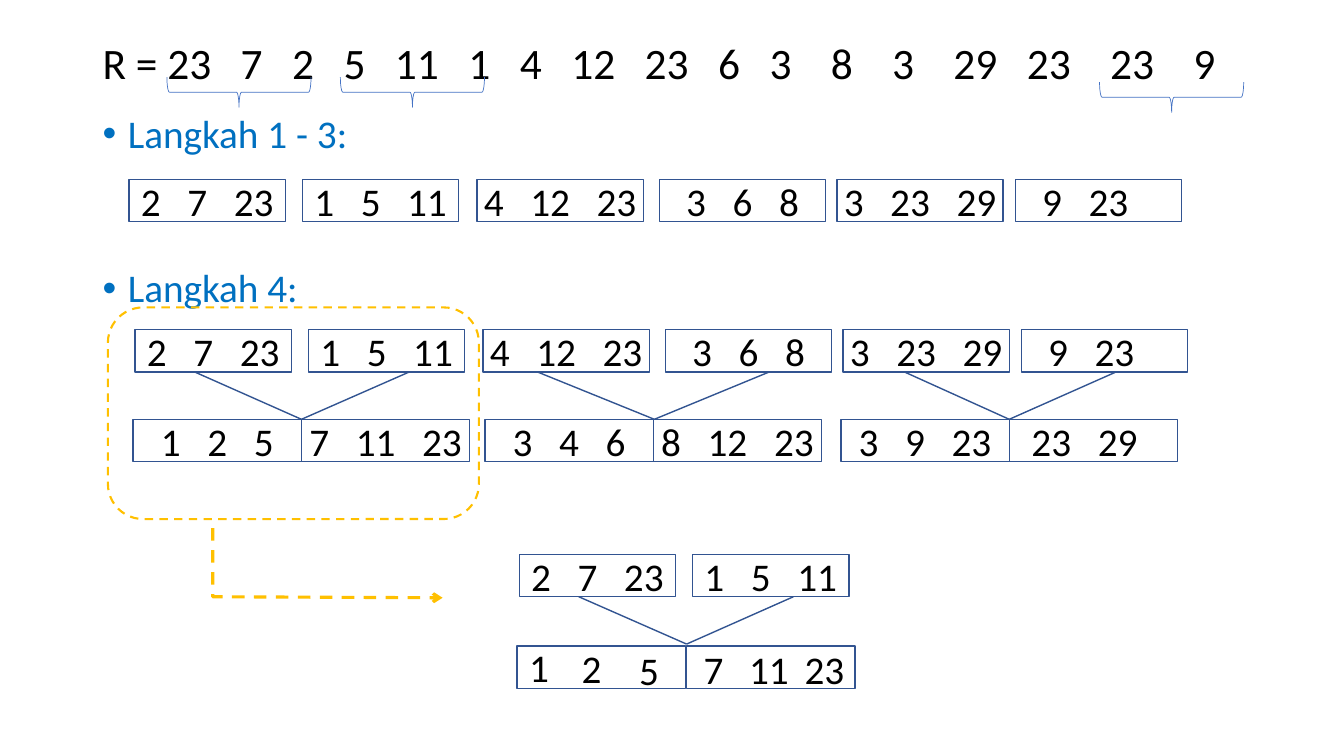
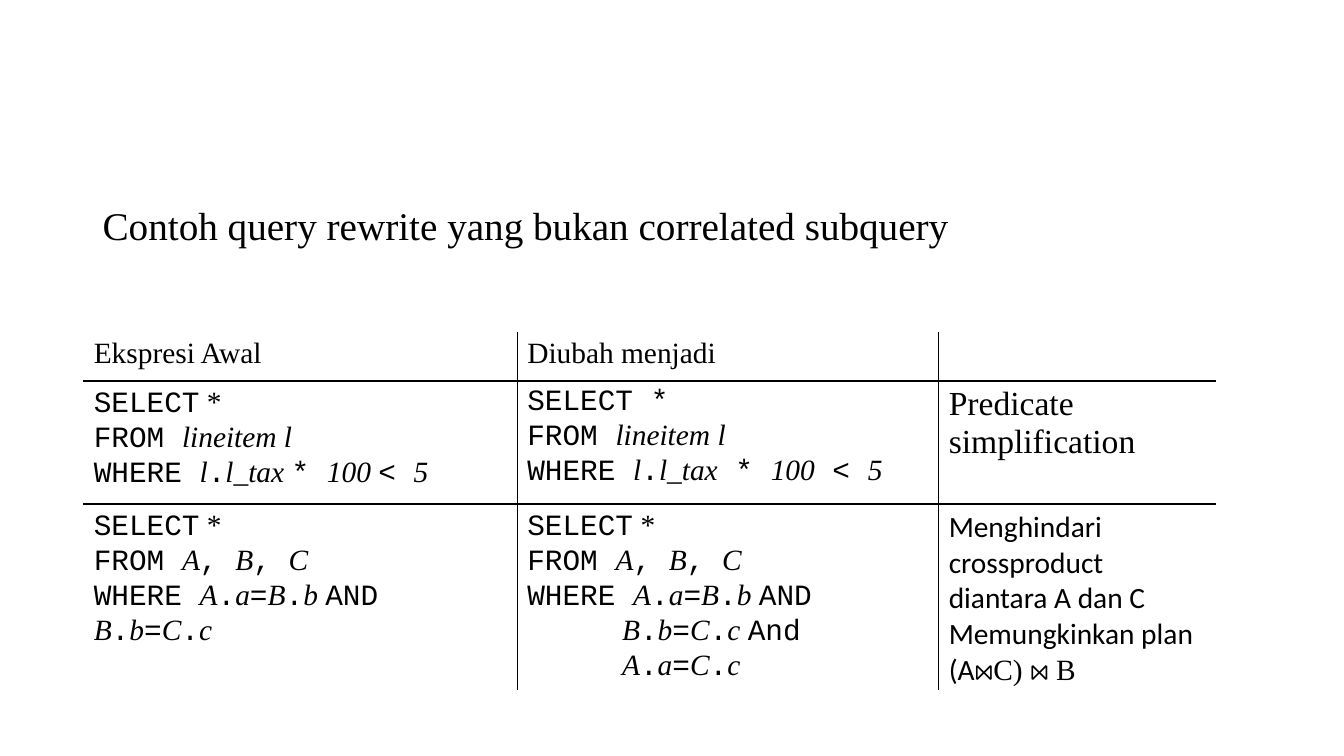
from lxml import etree
from pptx import Presentation
from pptx.dml.color import RGBColor
from pptx.enum import dml, shapes, text
from pptx.oxml import ns
from pptx.util import Inches, Pt

BLACK, WHITE, NAVY = "000000", "FFFFFF", "325491"
SKY, GOLD, BRACE_BLUE = "0070C0", "FFC000", "4472C4"
SANS, SERIF, MONO = "Calibri", "Times New Roman", "Courier New"
DIGIT_EM, SPACE_EM = 0.507, 0.226
NUMBER_SIZE = 28
BOX_HEIGHT = 0.42
SORTED_RUNS = [
    (1.28, 1.55, "2 7 23", 0),
    (3, 1.55, "1 5 11", 0),
    (4.73, 1.65, "4 12 23", 0),
    (6.54, 1.65, "3 6 8", 0),
    (8.3, 1.65, "3 23 29", 0),
    (10.07, 1.65, "9 23", 3),
]
MERGED_PAIRS = [
    (1.32, ("1 2 5", 0), ("7 11 23", 0)),
    (4.81, ("3 4 6", 0), ("8 12 23", 0)),
    (8.34, ("3 9 23", 0), ("23 29", 2)),
]
MERGED_WIDTH = 1.67


def color(value):
    return RGBColor.from_string(value)


def add_xml(parent, tag, **attributes):
    return etree.SubElement(parent, ns.qn(tag), attributes)


def add_span(para, content, size, font=SANS, hue=BLACK, italic=False):
    span = para.add_run()
    span.text = content
    span.font.size = Pt(size)
    span.font.name = font
    span.font.italic = italic
    span.font.color.rgb = color(hue)


def space_para(para, before):
    para.line_spacing = 0.9
    para.space_before = Pt(before)


def set_indent(para, hang):
    properties = para._p.get_or_add_pPr()
    properties.set("marL", str(Inches(hang)))
    properties.set("indent", str(-Inches(hang)))
    return properties


def add_bullet(para, content):
    space_para(para, 18)
    properties = set_indent(para, 0.25)
    add_xml(properties, "a:buFont", typeface="Arial")
    add_xml(properties, "a:buChar", char="•")
    add_span(para, content, 28, hue=SKY)


def add_numbers(para, numbers, size, gaps, lead=0.0):
    digit, space = DIGIT_EM * size / 72, SPACE_EM * size / 72
    stops = add_xml(para._p.get_or_add_pPr(), "a:tabLst")
    position = lead
    for number, gap in zip(numbers, gaps):
        position += len(number) * digit + gap * space
        add_xml(stops, "a:tab", pos=str(Inches(position)), algn="l")
    add_span(para, ("R = " if lead else "") + "\t".join(numbers), size)


def set_margins(frame, side, top):
    frame.margin_left = frame.margin_right = Inches(side)
    frame.margin_top = frame.margin_bottom = Inches(top)


def add_textbox(page, left, top, width, height, inset=0.1):
    box = page.shapes.add_textbox(Inches(left), Inches(top), Inches(width), Inches(height))
    frame = box.text_frame
    frame.word_wrap = True
    set_margins(frame, inset, min(inset, 0.05))
    return frame


def style_outline(item, hue, width, dashed=False):
    item.line.color.rgb = color(hue)
    item.line.width = Pt(width)
    if dashed:
        item.line.dash_style = dml.MSO_LINE.DASH


def add_outline(page, kind, left, top, width, height, hue=NAVY, weight=1, dashed=False):
    box = page.shapes.add_shape(kind, Inches(left), Inches(top), Inches(width), Inches(height))
    box.shadow.inherit = False
    box.fill.background()
    style_outline(box, hue, weight, dashed)
    return box


def add_number_box(page, left, top, width, content="", trailing=0):
    box = add_outline(page, shapes.MSO_SHAPE.RECTANGLE, left, top, width, BOX_HEIGHT)
    if not content:
        return
    numbers = content.split()
    digits = sum(len(number) for number in numbers)
    spaces = 3 * (len(numbers) - 1) + trailing
    used = (digits * DIGIT_EM + spaces * SPACE_EM) * NUMBER_SIZE / 72
    frame = box.text_frame
    frame.word_wrap = True
    frame.vertical_anchor = text.MSO_ANCHOR.MIDDLE
    set_margins(frame, 0.02, 0.02)
    frame.margin_left = Inches((width - used) / 2)
    para = frame.paragraphs[0]
    para.alignment = text.PP_ALIGN.LEFT
    add_numbers(para, numbers, NUMBER_SIZE, [3] * (len(numbers) - 1))


def add_sorted_runs(page, runs, shift, top):
    for left, width, content, trailing in runs:
        add_number_box(page, left + shift, top, width, content, trailing)


def add_line(page, start, end):
    line = page.shapes.add_connector(
        shapes.MSO_CONNECTOR.STRAIGHT, *[Inches(value) for value in (*start, *end)])
    style_outline(line, NAVY, 1)
    add_xml(line._element.spPr, "a:effectLst")


def add_merge(page, left, right, joint, top):
    for start in (left, right):
        add_line(page, (start, top), (joint, top + 0.47))


def add_step_arrow(page):
    points = [(Inches(x), Inches(y)) for x, y in ((2.11, 5.24), (2.11, 5.92), (4.39, 5.93))]
    builder = page.shapes.build_freeform(*points[0])
    builder.add_line_segments(points[1:], close=False)
    arrow = builder.convert_to_shape()
    arrow.shadow.inherit = False
    arrow.fill.background()
    style_outline(arrow, GOLD, 2.25, dashed=True)
    add_xml(arrow.line._get_or_add_ln(), "a:tailEnd", type="arrow")


def build_sort_page(page):
    frame = add_textbox(page, 0.92, 0.37, 11.5, 1.41)
    para = frame.paragraphs[0]
    space_para(para, 10)
    numbers = "23 7 2 5 11 1 4 12 23 6 3 8 3 29 23 23 9".split()
    add_numbers(para, numbers, 31, [3] * 10 + [4, 4, 4, 3, 4, 4], lead=0.64)
    add_bullet(frame.add_paragraph(), "Langkah 1 - 3:")
    add_sorted_runs(page, SORTED_RUNS, 0, 1.78)

    frame = add_textbox(page, 0.92, 2.62, 6.67, 0.53)
    add_bullet(frame.paragraphs[0], "Langkah 4:")
    add_sorted_runs(page, SORTED_RUNS, 0.06, 3.27)
    for left, *halves in MERGED_PAIRS:
        for index, (content, trailing) in enumerate(halves):
            add_number_box(page, left + index * MERGED_WIDTH, 4.16, MERGED_WIDTH, content, trailing)
    for left, right, joint in ((1.93, 4.06, 2.99), (5.33, 7.63, 6.49), (8.97, 11.07, 10.01)):
        add_merge(page, left, right, joint, 3.69)

    add_sorted_runs(page, SORTED_RUNS[:2], 3.87, 5.5)
    for left in (5.13, 6.81):
        add_number_box(page, left, 6.41, MERGED_WIDTH)
    add_merge(page, 5.74, 7.87, 6.81, 5.92)
    for left, top, number in ((5.15, 6.33, "1"), (5.67, 6.34, "2"), (6.24, 6.36, "5"),
                              (6.88, 6.35, "7"), (7.41, 6.38, "11"), (7.96, 6.38, "23")):
        width, inset = (0.39, 0.1) if len(number) == 1 else (0.56, 0.02)
        frame = add_textbox(page, left, top, width, 0.55, inset)
        add_span(frame.paragraphs[0], number, NUMBER_SIZE)

    add_outline(page, shapes.MSO_SHAPE.ROUNDED_RECTANGLE, 1.07, 3.05, 3.68, 2.1, GOLD, 1.5, True)
    add_step_arrow(page)
    for left, top in ((2.22, 0.2), (3.94, 0.2), (11.47, 0.25)):
        brace = add_outline(page, shapes.MSO_SHAPE.RIGHT_BRACE, left, top, 0.3, 1.43, BRACE_BLUE, 0.5)
        brace.rotation = 90


def plain(content, font=SERIF, size=21):
    return [(content, font, size, False)]


def code(line):
    return [(part, SERIF if index % 2 else MONO, 21, bool(index % 2))
            for index, part in enumerate(line.split("|"))]


def query_rows():
    select = plain("SELECT", MONO) + plain(" *")
    tax_from = code("FROM |lineitem l")
    join_from = code("FROM |A|, |B|, |C")
    join_where = "WHERE |A|.|a|=|B|.|b |AND |B|.|b|=|C|.|c"
    return [
        [[plain("Ekspresi Awal")], [plain("Diubah menjadi")], []],
        [
            [select, tax_from, code("WHERE |l|.|l_tax |* |100 |< |5")],
            [code("SELECT *"), tax_from, code("WHERE |l|.|l_tax| * |100| < |5")],
            [plain("Predicate simplification", size=24)],
        ],
        [
            [select, join_from, code(join_where)],
            [select, join_from, code(join_where + " |And |A|.|a|=|C|.|c")],
            [plain("Menghindari crossproduct diantara A dan C", SANS),
             plain("Memungkinkan plan (A", SANS) + plain("⋈C) ⋈ B")],
        ],
    ]


def set_borders(cell, hues):
    properties = cell._tc.get_or_add_tcPr()
    for index, (side, hue) in enumerate(zip("LRTB", hues)):
        border = etree.Element(ns.qn("a:ln" + side), w=str(Pt(1)))
        add_xml(add_xml(border, "a:solidFill"), "a:srgbClr", val=hue)
        properties.insert(index, border)


def fill_cell(cell, lines):
    cell.fill.solid()
    cell.fill.fore_color.rgb = color(WHITE)
    frame = cell.text_frame
    for index, spans in enumerate(lines):
        para = frame.add_paragraph() if index else frame.paragraphs[0]
        for content, font, size, italic in spans:
            add_span(para, content, size, font, italic=italic)


def build_query_page(page):
    frame = add_textbox(page, 0.92, 2, 11.5, 0.64)
    space_para(frame.paragraphs[0], 10)
    add_span(frame.paragraphs[0], "Contoh query rewrite yang bukan correlated subquery", 28, SERIF)

    rows, widths, heights = query_rows(), (4.3, 4.18, 2.74), (0.48, 1.22, 1.85)
    table = page.shapes.add_table(len(heights), len(widths), Inches(0.83), Inches(3.3),
                                  Inches(sum(widths)), Inches(sum(heights))).table
    table.first_row = table.horz_banding = False
    for column, width in zip(table.columns, widths):
        column.width = Inches(width)
    last_row, last_column = len(heights) - 1, len(widths) - 1
    for row, height in enumerate(heights):
        table.rows[row].height = Inches(height)
        for column in range(len(widths)):
            cell = table.cell(row, column)
            fill_cell(cell, rows[row][column])
            edges = (column == 0, column == last_column, row == 0, row == last_row)
            set_borders(cell, [WHITE if edge else BLACK for edge in edges])
    set_indent(table.cell(2, 1).text_frame.paragraphs[2], 0.94)


def main():
    deck = Presentation()
    deck.slide_width, deck.slide_height = Inches(13.33), Inches(7.5)
    for build in (build_sort_page, build_query_page):
        build(deck.slides.add_slide(deck.slide_layouts[6]))
    deck.save("out.pptx")


if __name__ == "__main__":
    main()
